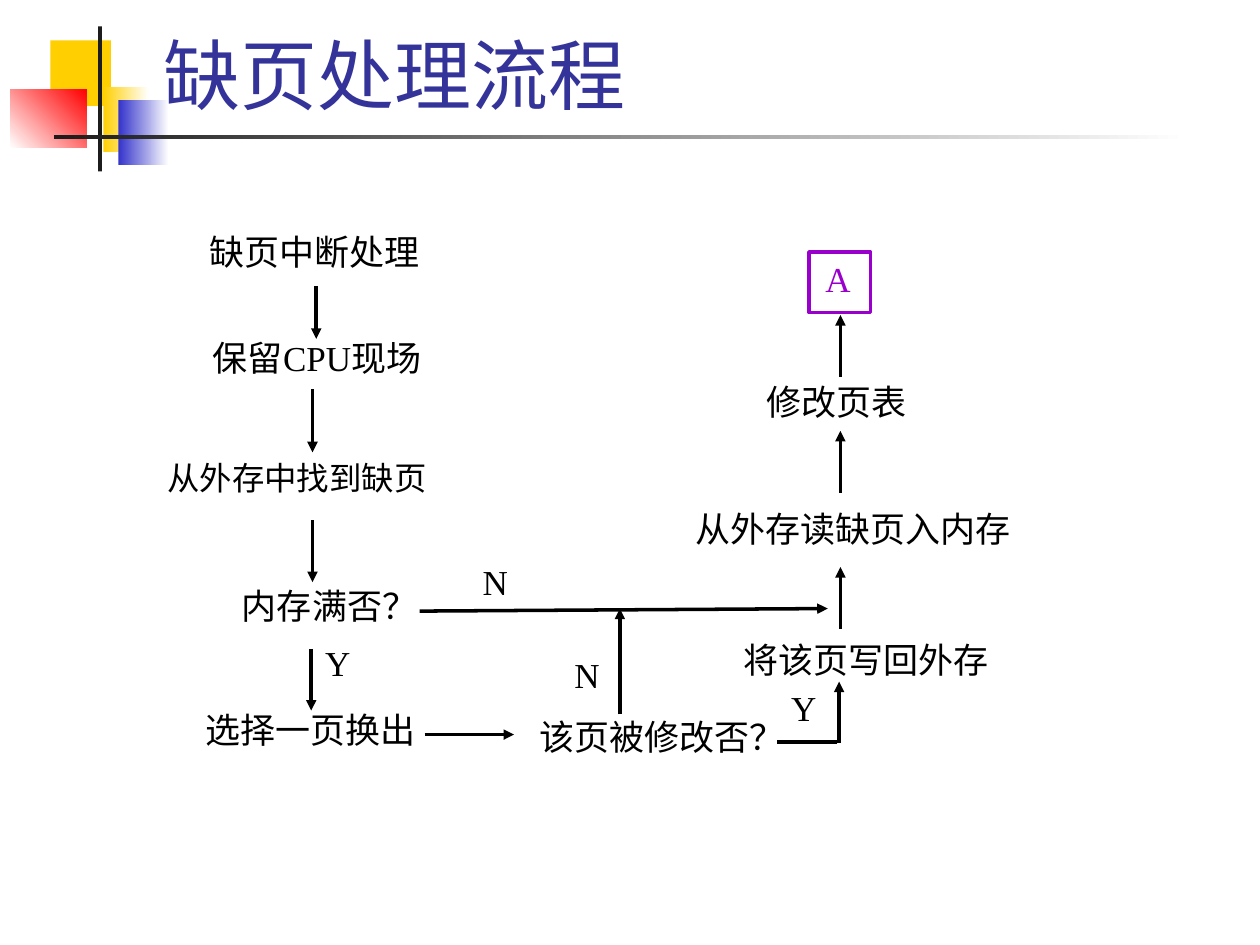
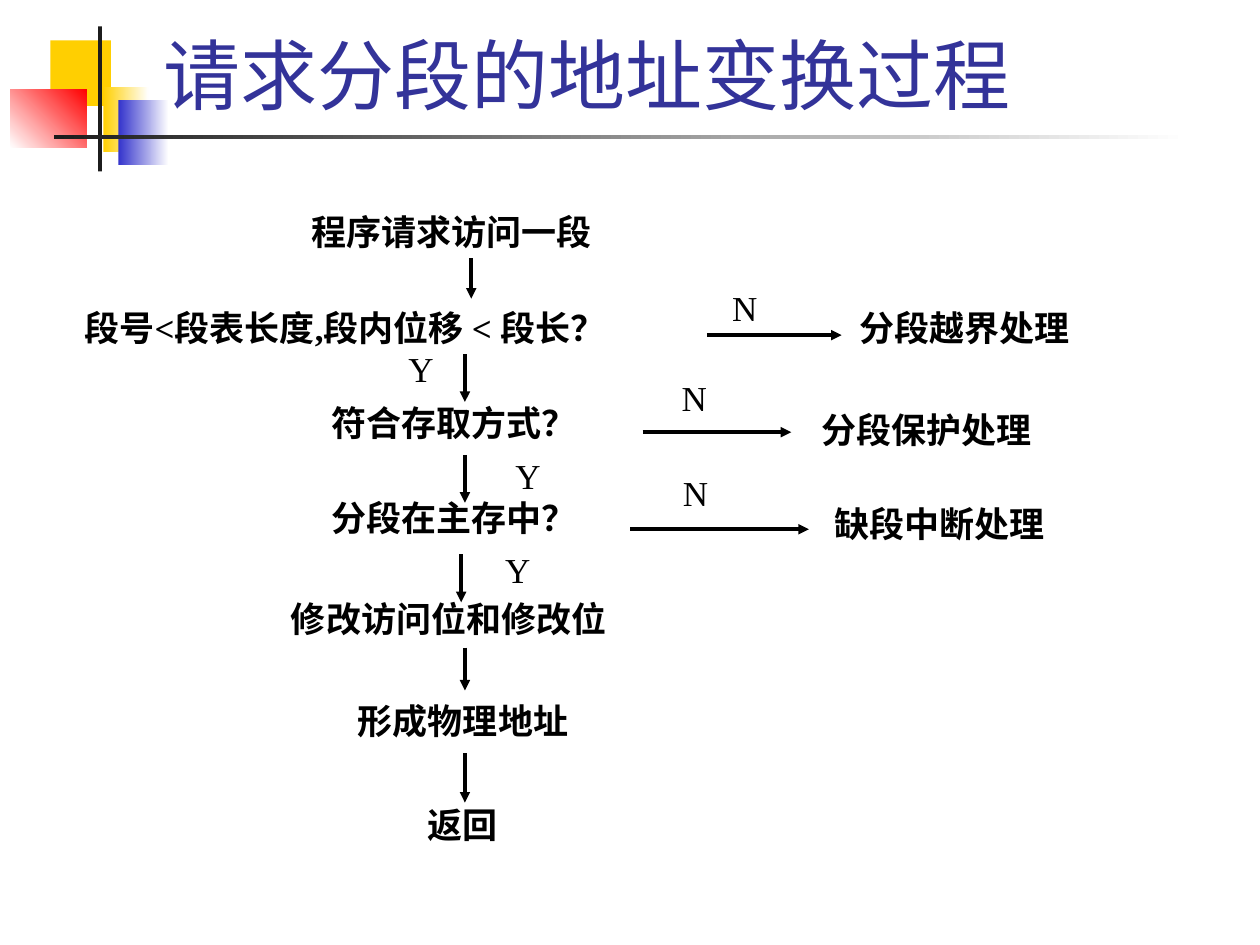
"""Build two flowchart slides on page-fault handling and segmented address translation."""
import lxml.etree
import pptx
import pptx.dml.color
import pptx.enum.dml
import pptx.enum.shapes
import pptx.enum.text
import pptx.oxml.ns
import pptx.util

PX = 9144
COLORS = {
    "ink": "000000", "title": "333399", "box": "9900CC", "white": "FFFFFF",
    "yellow": "FFCF01", "blue": "3333CC", "red": "FF0000", "dark": "1C1C1C",
}
TITLE_FONT = "Lato"
BODY_FONT = "Times New Roman"
RECTANGLE = pptx.enum.shapes.MSO_SHAPE.RECTANGLE
ALIGN = pptx.enum.text.PP_ALIGN
ANCHOR = pptx.enum.text.MSO_ANCHOR

MASTER_BLOCKS = [
    ((40, 32, 48, 52), ["yellow"], 0),
    ((82, 69, 36, 52), ["yellow", "white"], 0),
    ((94, 79, 40, 52), ["blue", "white"], 0),
    ((8, 71, 61, 46), ["white", "red"], 45),
    ((78, 21, 3, 115), ["dark"], 0),
    ((43, 107, 900, 3), ["dark", "white"], 0),
]

PAGE_FAULT = {
    "title": "缺页处理流程",
    "bold": False,
    "labels": [
        ("缺页中断处理", (166, 183, 184, 42), {}),
        ("保留CPU现场", (169, 267, 197, 42), {}),
        ("从外存中找到缺页", (133, 367, 242, 33), {"size": 18.5, "spacing": 0.9}),
        ("内存满否？", (192, 464, 148, 36), {}),
        ("选择一页换出", (163, 562, 179, 38), {}),
        ("该页被修改否？", (428, 568, 214, 40), {}),
        ("将该页写回外存", (590, 507, 218, 35), {}),
        ("从外存读缺页入内存", (552, 403, 265, 39), {}),
        ("修改页表", (608, 302, 116, 40), {}),
        ("N", (383, 445, 36, 46), {}),
        ("Y", (258, 509, 36, 49), {}),
        ("N", (456, 519, 36, 49), {}),
        ("Y", (628, 545, 36, 46), {}),
    ],
    "arrows": [
        (251, 227, 251, 269), (248, 309, 248, 359), (248, 413, 248, 462),
        (247, 515, 247, 564), (337, 583, 408, 583), (492, 567, 492, 483),
        (333, 485, 657, 483), (666, 590, 666, 541), (667, 499, 667, 450),
        (667, 391, 667, 342), (667, 299, 667, 250),
    ],
    "plain_lines": [(617, 589, 664, 589)],
    "boxes": [("A", (642, 200, 49, 48))],
}

SEGMENT_ADDRESS = {
    "title": "请求分段的地址变换过程",
    "bold": True,
    "labels": [
        ("程序请求访问一段", (247, 167, 304, 48), {}),
        ("段号<段表长度,段内位移 < 段长？", (67, 243, 504, 48), {}),
        ("符合存取方式？", (263, 319, 258, 40), {}),
        ("分段在主存中？", (263, 394, 248, 41), {}),
        ("修改访问位和修改位", (231, 474, 330, 38), {}),
        ("形成物理地址", (284, 555, 236, 43), {}),
        ("返回", (339, 638, 101, 37), {}),
        ("分段越界处理", (682, 243, 212, 41), {}),
        ("分段保护处理", (652, 324, 228, 43), {}),
        ("缺段中断处理", (662, 399, 238, 43), {}),
        ("N", (581, 227, 59, 36), {"bold": False}),
        ("N", (541, 299, 59, 38), {"bold": False}),
        ("N", (542, 374, 59, 38), {"bold": False}),
        ("Y", (324, 276, 35, 35), {"bold": False}),
        ("Y", (409, 361, 59, 36), {"bold": False}),
        ("Y", (401, 435, 59, 36), {"bold": False}),
    ],
    "arrows": [
        (374, 205, 374, 237), (369, 281, 369, 319), (369, 361, 369, 399),
        (366, 440, 366, 478), (369, 514, 369, 548), (369, 598, 369, 637),
        (561, 266, 668, 266), (510, 343, 628, 343), (500, 420, 642, 420),
    ],
    "plain_lines": [],
    "boxes": [],
}


def write_text(shape, text, font=BODY_FONT, size=20, color="ink", bold=False,
               align=ALIGN.JUSTIFY, anchor=ANCHOR.TOP, margins=(0, 0, 0, 0), spacing=1.0):
    frame = shape.text_frame
    frame.text = text
    frame.word_wrap = True
    frame.auto_size = pptx.enum.text.MSO_AUTO_SIZE.NONE
    frame.vertical_anchor = anchor
    frame.margin_left, frame.margin_top, frame.margin_right, frame.margin_bottom = (
        margin * PX for margin in margins)
    paragraph = frame.paragraphs[0]
    paragraph.alignment = align
    paragraph.line_spacing = spacing
    run_font = paragraph.runs[0].font
    run_font.name = font
    run_font.size = pptx.util.Pt(size)
    run_font.bold = bold
    run_font.color.rgb = pptx.dml.color.RGBColor.from_string(COLORS[color])


def draw_line(slide, points, arrow=True):
    connector = slide.shapes.add_connector(
        pptx.enum.shapes.MSO_CONNECTOR.STRAIGHT, *(point * PX for point in points))
    connector.line.width = pptx.util.Pt(2)
    connector.line.color.rgb = pptx.dml.color.RGBColor.from_string(COLORS["ink"])
    properties = connector.element.spPr
    if arrow:
        line = properties.find(pptx.oxml.ns.qn("a:ln"))
        lxml.etree.SubElement(line, pptx.oxml.ns.qn("a:tailEnd"), type="triangle")
    lxml.etree.SubElement(properties, pptx.oxml.ns.qn("a:effectLst"))


presentation = pptx.Presentation()
presentation.slide_width = 1000 * PX
presentation.slide_height = 750 * PX
layout = presentation.slide_layouts[5]
title_holder = layout.placeholders[0]
title_holder.left, title_holder.top = 120 * PX, 17 * PX
title_holder.width, title_holder.height = 852 * PX, 83 * PX

for number, content in enumerate([PAGE_FAULT, SEGMENT_ADDRESS]):
    slide = presentation.slides.add_slide(layout)
    if number == 0:
        for index, (bounds, colors, angle) in enumerate(MASTER_BLOCKS):
            block = slide.shapes.add_shape(RECTANGLE, *(length * PX for length in bounds))
            block.shadow.inherit = False
            block.line.fill.background()
            if len(colors) == 1:
                block.fill.solid()
                block.fill.fore_color.rgb = pptx.dml.color.RGBColor.from_string(COLORS[colors[0]])
            else:
                block.fill.gradient()
                block.fill.gradient_angle = angle
                for stop, color in zip(block.fill.gradient_stops, colors):
                    stop.color.rgb = pptx.dml.color.RGBColor.from_string(COLORS[color])
            block.element.nvSpPr.cNvPr.id = 20 + index
            layout.shapes.element.append(block.element)

    write_text(slide.shapes.title, content["title"], font=TITLE_FONT, size=44, color="title",
               align=ALIGN.LEFT, anchor=ANCHOR.BOTTOM, margins=(10, 5, 10, 5))
    for text, bounds, text_format in content["labels"]:
        label = slide.shapes.add_textbox(*(length * PX for length in bounds))
        write_text(label, text, **{"bold": content["bold"], **text_format})
    for points in content["arrows"]:
        draw_line(slide, points)
    for points in content["plain_lines"]:
        draw_line(slide, points, arrow=False)
    for text, bounds in content["boxes"]:
        box = slide.shapes.add_shape(RECTANGLE, *(length * PX for length in bounds))
        box.shadow.inherit = False
        box.fill.background()
        box.line.width = pptx.util.Pt(2)
        box.line.color.rgb = pptx.dml.color.RGBColor.from_string(COLORS["box"])
        write_text(box, text, color="box", margins=(13, 4, 0, 0))

presentation.save("out.pptx")
